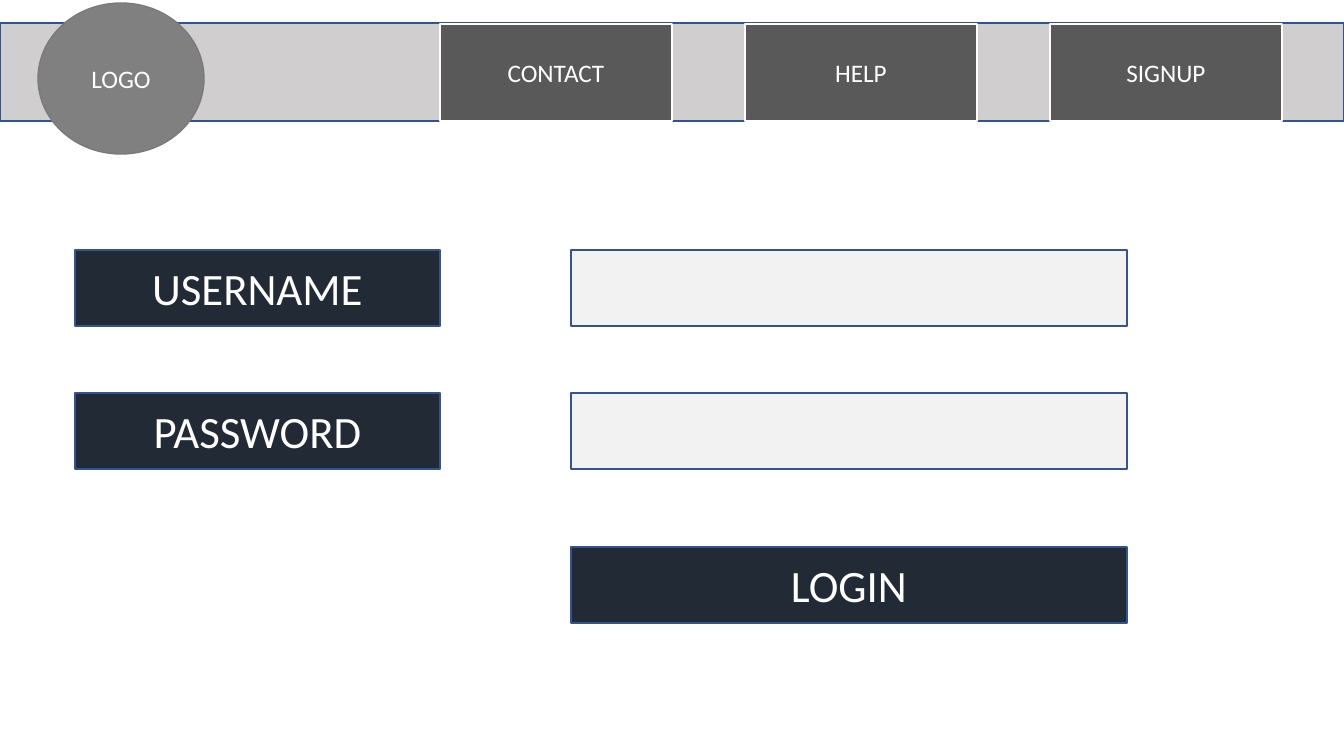
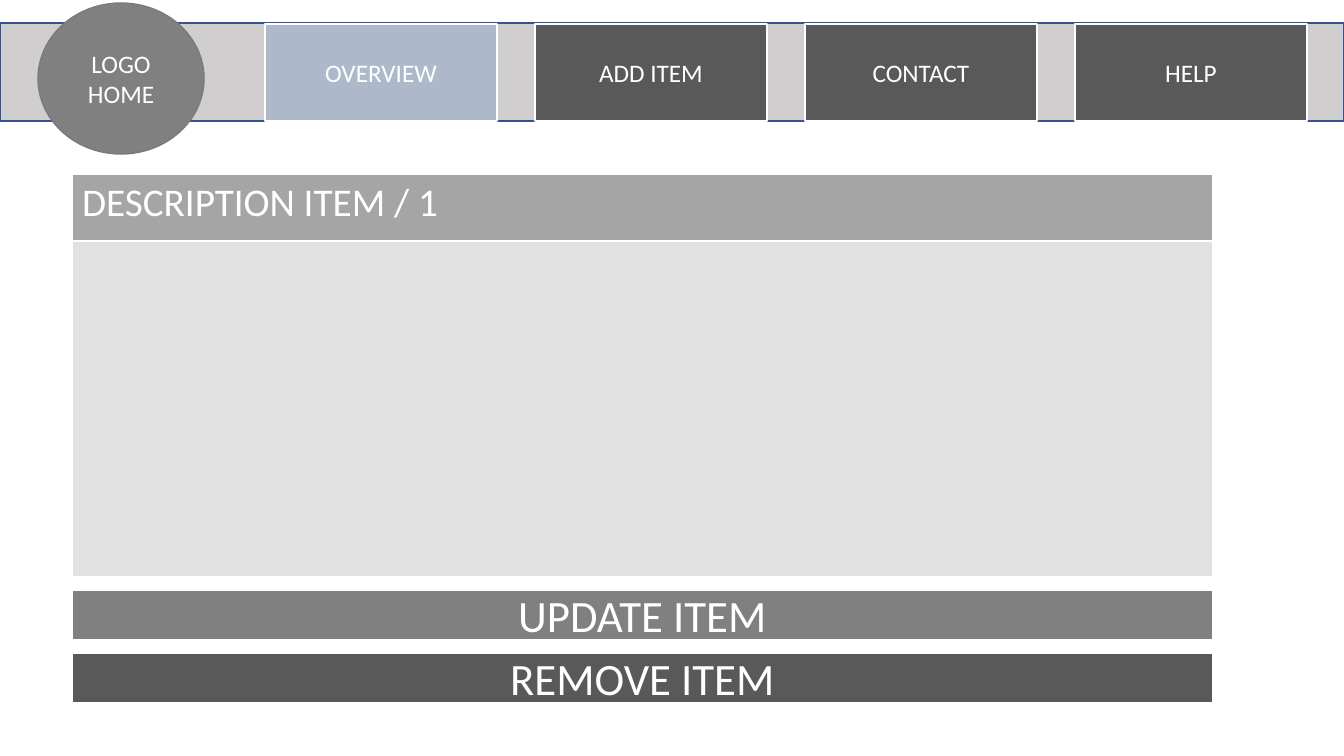
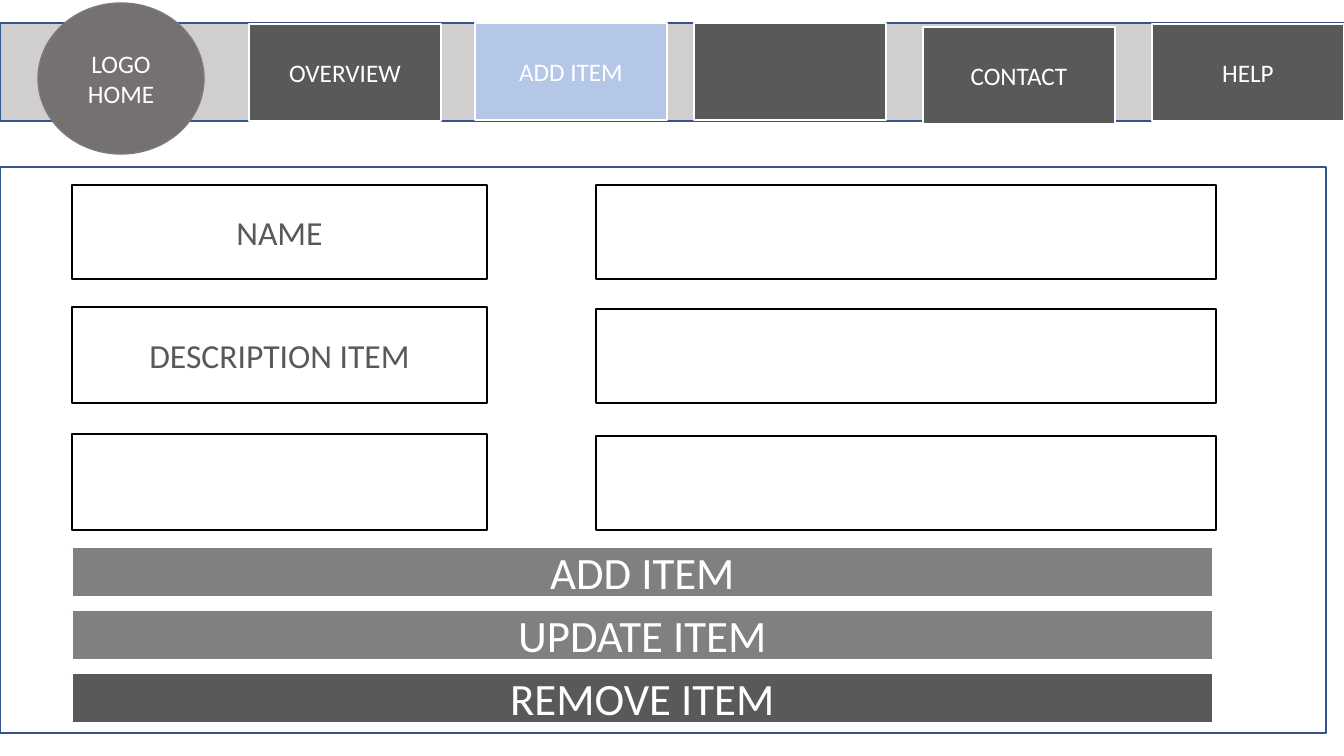
"""Build three wireframe screens: login, item overview and item form."""
from pptx import Presentation
from pptx.dml.color import RGBColor
from pptx.enum.shapes import MSO_SHAPE as Shape
from pptx.enum.text import MSO_ANCHOR as Anchor, PP_ALIGN as Align
from pptx.util import Pt

SCALE = 12192000 / 1344
FONT = "Calibri"
WHITE = RGBColor(0xFF, 0xFF, 0xFF)
BLACK = RGBColor(0x00, 0x00, 0x00)
BLUE = RGBColor(0x32, 0x54, 0x91)
NAVY = RGBColor(0x22, 0x2A, 0x35)
DARK = RGBColor(0x59, 0x59, 0x59)
GRAY = RGBColor(0x80, 0x80, 0x80)
WARM = RGBColor(0x76, 0x71, 0x71)
RIM = RGBColor(0x7A, 0x7A, 0x7A)
BAND = RGBColor(0xD0, 0xCE, 0xCE)
FIELD = RGBColor(0xF2, 0xF2, 0xF2)
HEAD = RGBColor(0xA5, 0xA5, 0xA5)
BODY = RGBColor(0xE1, 0xE1, 0xE1)
STEEL = RGBColor(0xAD, 0xB9, 0xCA)
SKY = RGBColor(0xB4, 0xC7, 0xE7)

deck = Presentation()
deck.slide_width = round(1344 * SCALE)
deck.slide_height = round(756 * SCALE)


def box(slide, place, fill, line, text="", size=18, ink=WHITE, width=1, kind=Shape.RECTANGLE):
    item = slide.shapes.add_shape(kind, *[round(n * SCALE) for n in place])
    item.shadow.inherit = False
    if fill is None:
        item.fill.background()
    else:
        item.fill.solid()
        item.fill.fore_color.rgb = fill
    item.line.color.rgb = line
    item.line.width = Pt(width)
    if text:
        frame = item.text_frame
        frame.text = text
        frame.vertical_anchor = Anchor.MIDDLE
        for para in frame.paragraphs:
            para.alignment = Align.CENTER
            para.font.name = FONT
            para.font.size = Pt(size)
            para.font.color.rgb = ink


def screen(logo, disc, wide, tabs):
    slide = deck.slides.add_slide(deck.slide_layouts[6])
    box(slide, (0, 23, 1344, 98), BAND, BLUE)
    for left, top, text, fill in tabs:
        box(slide, (left, top, wide, 97), fill, WHITE, text, width=1.5)
    box(slide, (38, 3, 166, 151), disc, RIM, logo, kind=Shape.OVAL)
    return slide


names = ["CONTACT", "HELP", "SIGNUP"]
login = screen("LOGO", GRAY, 232,
               [(440 + 305 * i, 24, name, DARK) for i, name in enumerate(names)])
for top, label in [(250, "USERNAME"), (393, "PASSWORD")]:
    box(login, (75, top, 365, 76), NAVY, BLUE, label, 32)
    box(login, (571, top, 556, 76), FIELD, BLUE)
box(login, (571, 547, 556, 76), NAVY, BLUE, "LOGIN", 32)

names = ["OVERVIEW", "ADD ITEM", "CONTACT", "HELP"]
view = screen("LOGO\nHOME", GRAY, 232,
              [(265 + 270 * i, 24, name, DARK if i else STEEL) for i, name in enumerate(names)])
place = [round(n * SCALE) for n in (72, 174, 1141, 403)]
table = view.shapes.add_table(2, 1, *place).table
table.horz_banding = False
for i, (high, fill) in enumerate([(67, HEAD), (336, BODY)]):
    table.rows[i].height = round(high * SCALE)
    cell = table.cell(i, 0)
    cell.fill.solid()
    cell.fill.fore_color.rgb = fill
title = table.cell(0, 0).text_frame
title.text = "DESCRIPTION ITEM / 1"
font = title.paragraphs[0].font
font.name = FONT
font.size = Pt(28)
font.bold = False
font.color.rgb = WHITE

form = screen("LOGO\nHOME", WARM, 192, [
    (249, 24, "OVERVIEW", DARK),
    (475, 23, "ADD ITEM", SKY),
    (694, 23, "", DARK),
    (923, 27, "CONTACT", DARK),
    (1152, 24, "HELP", DARK),
])
box(form, (0, 167, 1326, 566), None, BLUE)
for top, high, entry, label in [
    (185, 94, 185, "NAME"),
    (307, 96, 309, "DESCRIPTION ITEM"),
    (434, 96, 436, ""),
]:
    box(form, (72, top, 415, high), WHITE, BLACK, label, 24, DARK)
    box(form, (596, entry, 620, 94), WHITE, BLACK)

update, remove = ("UPDATE ITEM", GRAY), ("REMOVE ITEM", DARK)
for slide, top, acts in [
    (view, 590, [update, remove]),
    (form, 547, [("ADD ITEM", GRAY), update, remove]),
]:
    for i, (text, fill) in enumerate(acts):
        box(slide, (72, top + 63 * i, 1141, 50), fill, WHITE, text, 32, width=1.5)

deck.save("out.pptx")
